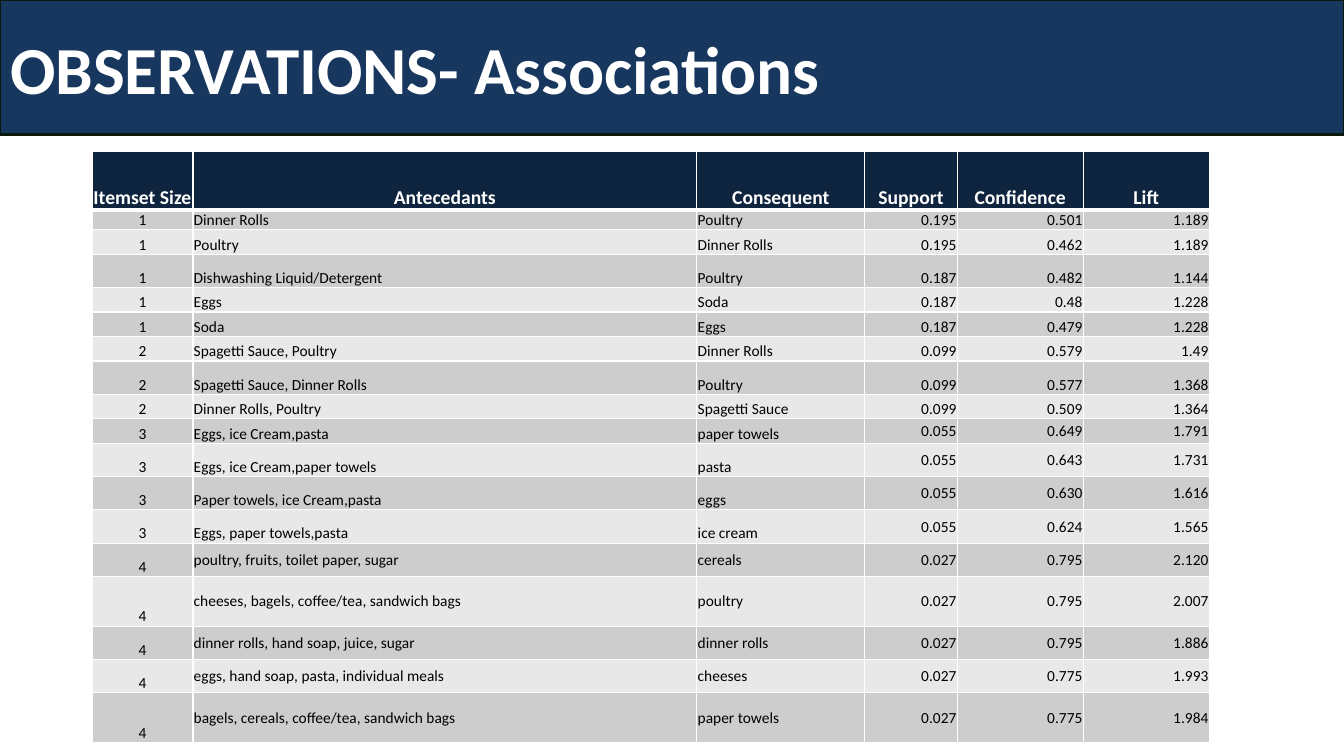
from dataclasses import dataclass

from lxml.etree import SubElement
from pptx import Presentation
from pptx.dml.color import RGBColor
from pptx.enum.text import MSO_ANCHOR, MSO_AUTO_SIZE, PP_ALIGN
from pptx.oxml.ns import qn
from pptx.util import Pt


@dataclass(frozen=True)
class Theme:
    font: str = "Calibri"
    banner: str = "17375E"
    banner_line: str = "0B190C"
    header: str = "0F243E"
    bands: tuple[str, str] = ("CCCDCC", "E7E8E7")
    light: str = "FFFFFF"
    dark: str = "000000"
    title_size: float = 48
    header_size: float = 14
    body_size: float = 11
    banner_line_width: float = 2
    grid_width: float = 1
    header_rule_width: float = 3
    cell_inset: float = 0.6


@dataclass(frozen=True)
class Column:
    heading: str
    width: float
    align: PP_ALIGN
    middle_from_size: int  # smallest itemset whose cells are centred vertically


@dataclass(frozen=True)
class Association:
    itemset_size: int
    antecedents: str
    consequent: str
    support: str
    confidence: str
    lift: str
    height: float

    def values(self) -> tuple[str, ...]:
        return (str(self.itemset_size), self.antecedents, self.consequent,
                self.support, self.confidence, self.lift)


THEME = Theme()
SLIDE_WIDTH, SLIDE_HEIGHT = 960, 540
BANNER_HEIGHT = 96
TABLE_LEFT, TABLE_TOP = 65.8, 108.3
HEADER_HEIGHT = 41.6
TIGHT, SINGLE, DOUBLE, TRIPLE = 12.2, 17.5, 23.8, 35.5
NEVER = 99

COLUMNS = [
    Column("Itemset Size", 72, PP_ALIGN.CENTER, NEVER),
    Column("Antecedants", 360, PP_ALIGN.LEFT, 4),
    Column("Consequent", 120, PP_ALIGN.LEFT, 4),
    Column("Support", 66, PP_ALIGN.RIGHT, 3),
    Column("Confidence", 90, PP_ALIGN.RIGHT, 3),
    Column("Lift", 90, PP_ALIGN.RIGHT, 3),
]

ASSOCIATIONS = [
    Association(1, "Dinner Rolls", "Poultry", "0.195", "0.501", "1.189", TIGHT),
    Association(1, "Poultry", "Dinner Rolls", "0.195", "0.462", "1.189", SINGLE),
    Association(1, "Dishwashing Liquid/Detergent", "Poultry", "0.187", "0.482", "1.144", DOUBLE),
    Association(1, "Eggs", "Soda", "0.187", "0.48", "1.228", SINGLE),
    Association(1, "Soda", "Eggs", "0.187", "0.479", "1.228", SINGLE),
    Association(2, "Spagetti Sauce, Poultry", "Dinner Rolls", "0.099", "0.579", "1.49", SINGLE),
    Association(2, "Spagetti Sauce, Dinner Rolls", "Poultry", "0.099", "0.577", "1.368", DOUBLE),
    Association(2, "Dinner Rolls, Poultry", "Spagetti Sauce", "0.099", "0.509", "1.364", SINGLE),
    Association(3, "Eggs, ice Cream,pasta", "paper towels", "0.055", "0.649", "1.791", SINGLE),
    Association(3, "Eggs, ice Cream,paper towels", "pasta", "0.055", "0.643", "1.731", DOUBLE),
    Association(3, "Paper towels, ice Cream,pasta", "eggs", "0.055", "0.630", "1.616", DOUBLE),
    Association(3, "Eggs, paper towels,pasta", "ice cream", "0.055", "0.624", "1.565", DOUBLE),
    Association(4, "poultry, fruits, toilet paper, sugar", "cereals",
                "0.027", "0.795", "2.120", DOUBLE),
    Association(4, "cheeses, bagels, coffee/tea, sandwich bags", "poultry",
                "0.027", "0.795", "2.007", TRIPLE),
    Association(4, "dinner rolls, hand soap, juice, sugar", "dinner rolls",
                "0.027", "0.795", "1.886", DOUBLE),
    Association(4, "eggs, hand soap, pasta, individual meals", "cheeses",
                "0.027", "0.775", "1.993", DOUBLE),
    Association(4, "bagels, cereals, coffee/tea, sandwich bags", "paper towels",
                "0.027", "0.775", "1.984", TRIPLE),
]


def add_run(paragraph, text: str, size: float, color: str, bold: bool) -> None:
    run = paragraph.add_run()
    run.text = text
    run.font.name = THEME.font
    run.font.size = Pt(size)
    run.font.bold = bold
    run.font.color.rgb = RGBColor.from_string(color)


def add_banner(slide) -> None:
    banner = slide.shapes.title
    banner.left, banner.top = Pt(0), Pt(0)
    banner.width, banner.height = Pt(SLIDE_WIDTH), Pt(BANNER_HEIGHT)
    banner.fill.solid()
    banner.fill.fore_color.rgb = RGBColor.from_string(THEME.banner)
    banner.line.color.rgb = RGBColor.from_string(THEME.banner_line)
    banner.line.width = Pt(THEME.banner_line_width)
    frame = banner.text_frame
    frame.word_wrap = True
    frame.auto_size = MSO_AUTO_SIZE.NONE
    frame.vertical_anchor = MSO_ANCHOR.MIDDLE
    heading = frame.paragraphs[0]
    heading.alignment = PP_ALIGN.LEFT
    add_run(heading, "OBSERVATIONS- Associations", THEME.title_size, THEME.light, True)


def set_borders(cell, top: float, bottom: float) -> None:
    properties = cell._tc.get_or_add_tcPr()
    widths = {"a:lnL": THEME.grid_width, "a:lnR": THEME.grid_width,
              "a:lnT": top, "a:lnB": bottom}
    for tag, width in widths.items():
        border = SubElement(properties, qn(tag), w=str(Pt(width)))
        fill = SubElement(border, qn("a:solidFill"))
        SubElement(fill, qn("a:srgbClr"), val=THEME.light)


def format_cell(cell, fill: str, align: PP_ALIGN, anchor: MSO_ANCHOR,
                top: float, bottom: float):
    """Style the cell and return its paragraph, ready for a run."""
    set_borders(cell, top, bottom)
    cell.fill.solid()
    cell.fill.fore_color.rgb = RGBColor.from_string(fill)
    cell.margin_left = cell.margin_right = cell.margin_top = Pt(THEME.cell_inset)
    cell.margin_bottom = Pt(0)
    cell.vertical_anchor = anchor
    paragraph = cell.text_frame.paragraphs[0]
    paragraph.alignment = align
    return paragraph


def add_association_table(slide) -> None:
    heights = [HEADER_HEIGHT] + [rule.height for rule in ASSOCIATIONS]
    table = slide.shapes.add_table(
        len(heights), len(COLUMNS), Pt(TABLE_LEFT), Pt(TABLE_TOP),
        Pt(sum(column.width for column in COLUMNS)), Pt(sum(heights))).table
    for row, height in zip(table.rows, heights):
        row.height = Pt(height)

    for index, column in enumerate(COLUMNS):
        table.columns[index].width = Pt(column.width)
        heading = format_cell(table.cell(0, index), THEME.header, PP_ALIGN.CENTER,
                              MSO_ANCHOR.BOTTOM, THEME.grid_width, THEME.header_rule_width)
        add_run(heading, column.heading, THEME.header_size, THEME.light, True)

    for row_index, rule in enumerate(ASSOCIATIONS):
        band = THEME.bands[row_index % 2]
        top = THEME.grid_width if row_index else THEME.header_rule_width
        for index, (column, value) in enumerate(zip(COLUMNS, rule.values())):
            centred = rule.itemset_size >= column.middle_from_size
            anchor = MSO_ANCHOR.MIDDLE if centred else MSO_ANCHOR.BOTTOM
            entry = format_cell(table.cell(row_index + 1, index), band, column.align,
                                anchor, top, THEME.grid_width)
            add_run(entry, value, THEME.body_size, THEME.dark, False)


def main() -> None:
    deck = Presentation()
    deck.slide_width, deck.slide_height = Pt(SLIDE_WIDTH), Pt(SLIDE_HEIGHT)
    slide = deck.slides.add_slide(deck.slide_layouts.get_by_name("Title Only"))
    add_banner(slide)
    add_association_table(slide)
    deck.save("out.pptx")


if __name__ == "__main__":
    main()
